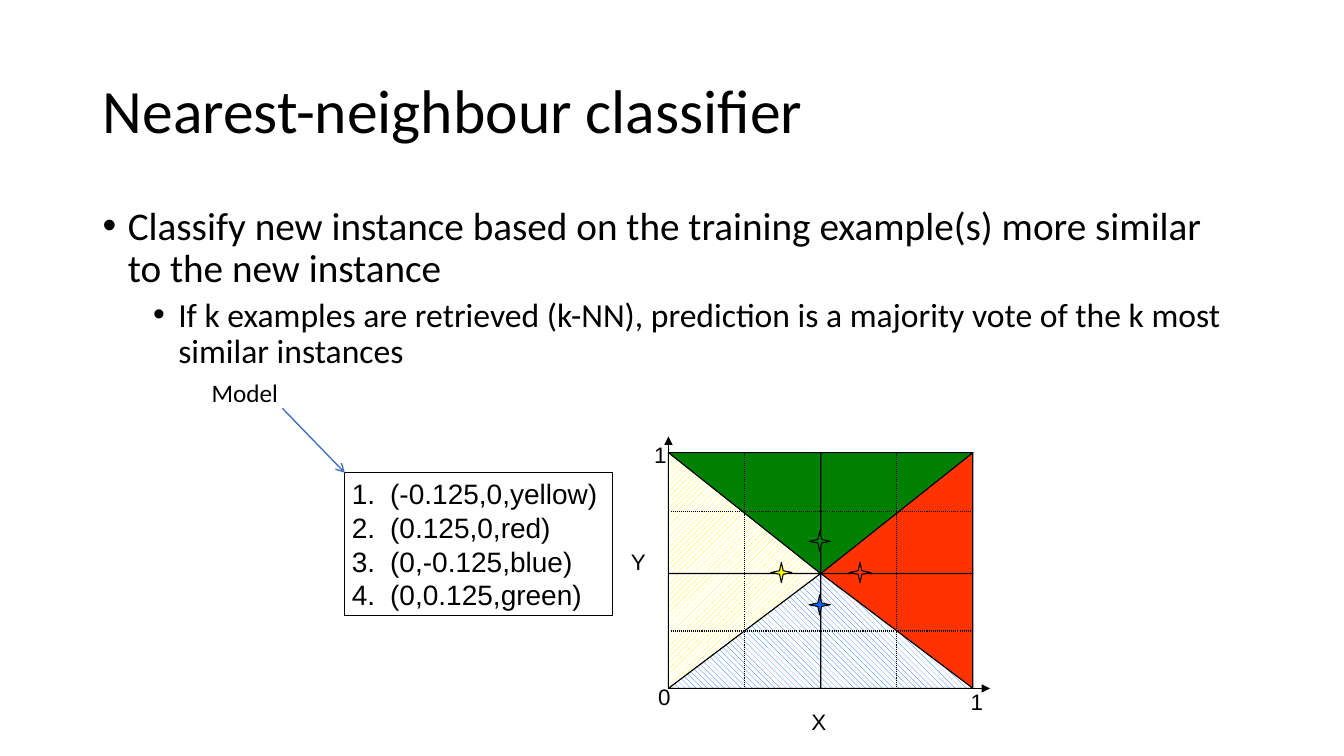
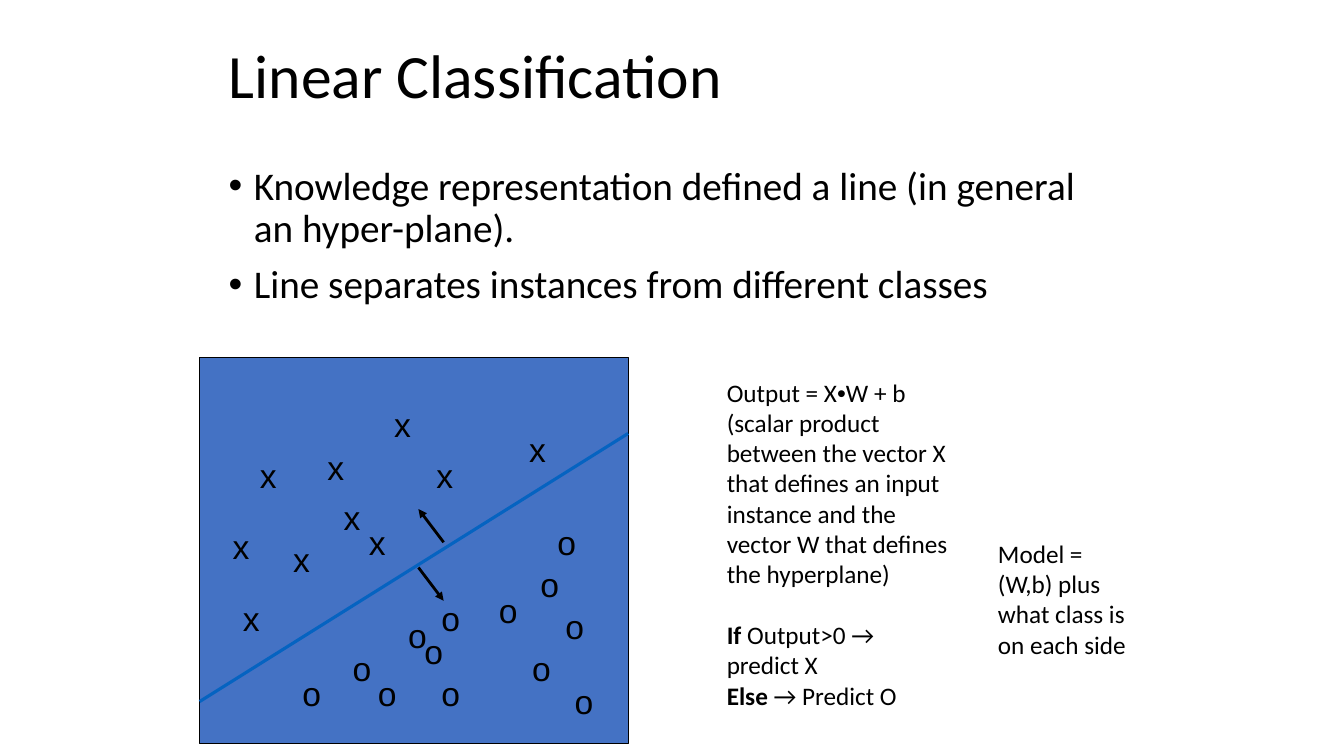
import pptx
import pptx.dml.color
import pptx.enum.dml
import pptx.enum.shapes
import pptx.enum.text
import pptx.oxml.ns
import pptx.util
from lxml import etree

Inches = pptx.util.Inches
Pt = pptx.util.Pt
RGBColor = pptx.dml.color.RGBColor
Shape = pptx.enum.shapes.MSO_SHAPE
Pattern = pptx.enum.dml.MSO_PATTERN
Dash = pptx.enum.dml.MSO_LINE
Anchor = pptx.enum.text.MSO_ANCHOR
AutoSize = pptx.enum.text.MSO_AUTO_SIZE
qn = pptx.oxml.ns.qn

BLACK = RGBColor(0x00, 0x00, 0x00)
WHITE = RGBColor(0xFF, 0xFF, 0xFF)
YELLOW = RGBColor(0xFF, 0xFF, 0x00)
GREEN = RGBColor(0x00, 0x80, 0x00)
RED = RGBColor(0xFF, 0x33, 0x00)
BLUE = RGBColor(0x00, 0x66, 0xFF)
ACCENT = RGBColor(0x44, 0x72, 0xC4)
SEPARATOR = RGBColor(0x05, 0x63, 0xC1)
BODY_FONT = "Calibri"
FIGURE_FONT = "Arial"


class SlideWriter:
    def __init__(self):
        self.deck = pptx.Presentation()
        self.deck.slide_width = Inches(13.33)
        self.deck.slide_height = Inches(7.5)
        self.page = None

    def new_page(self):
        self.page = self.deck.slides.add_slide(self.deck.slide_layouts[6])

    def style(self, paragraph, size, name=BODY_FONT):
        paragraph.font.size = Pt(size)
        paragraph.font.name = name
        paragraph.font.color.rgb = BLACK

    def text(self, lines, left, top, width, height, size, name=BODY_FONT, wrap=False):
        box = self.page.shapes.add_textbox(Inches(left), Inches(top), Inches(width), Inches(height))
        frame = box.text_frame
        frame.word_wrap = wrap
        for index, line in enumerate(lines):
            paragraph = frame.add_paragraph() if index else frame.paragraphs[0]
            self.style(paragraph, size, name)
            for words, settings in line:
                span = paragraph.add_run()
                span.text = words
                for attribute, value in settings.items():
                    setattr(span.font, attribute, value)
        return frame

    def label(self, words, left, top, width, height, size, name=FIGURE_FONT, wrap=False):
        return self.text([[(words, {})]], left, top, width, height, size, name, wrap)

    def title(self, words, left, top, width, height):
        frame = self.label(words, left, top, width, height, 44, BODY_FONT, True)
        frame.vertical_anchor = Anchor.MIDDLE
        frame.paragraphs[0].line_spacing = 0.9

    def list_mark(self, paragraph, margin, indent, tag, **attributes):
        properties = paragraph._p.get_or_add_pPr()
        properties.set("marL", str(Inches(margin)))
        properties.set("indent", str(-Inches(indent)))
        etree.SubElement(properties, qn("a:buFont"), typeface=FIGURE_FONT)
        etree.SubElement(properties, qn(tag), **attributes)

    def bullets(self, items, left, top, width, height):
        box = self.page.shapes.add_textbox(Inches(left), Inches(top), Inches(width), Inches(height))
        frame = box.text_frame
        frame.word_wrap = True
        for index, (level, words) in enumerate(items):
            paragraph = frame.add_paragraph() if index else frame.paragraphs[0]
            paragraph.text = words
            paragraph.level = level
            paragraph.line_spacing = 0.9
            if index:
                paragraph.space_before = Pt(5 if level else 10)
            self.list_mark(paragraph, 0.25 + 0.5 * level, 0.25, "a:buChar", char="•")
            self.style(paragraph, 24 if level else 28)

    def shape(self, kind, left, top, width, height, fill=None, pattern=None):
        shape = self.page.shapes.add_shape(kind, Inches(left), Inches(top), Inches(width), Inches(height))
        shape.shadow.inherit = False
        shape.line.color.rgb = BLACK
        shape.line.width = Pt(0.75)
        if fill is None:
            shape.fill.background()
        elif pattern is None:
            shape.fill.solid()
            shape.fill.fore_color.rgb = fill
        else:
            shape.fill.patterned()
            shape.fill.pattern = pattern
            shape.fill.fore_color.rgb = fill
            shape.fill.back_color.rgb = WHITE
        return shape

    def triangle(self, left, top, width, height, fill, pattern, flips):
        triangle = self.shape(Shape.RIGHT_TRIANGLE, left, top, width, height, fill, pattern)
        for axis in flips:
            triangle._element.spPr.find(qn("a:xfrm")).set("flip" + axis, "1")

    def star(self, center_x, center_y, fill):
        width, height = 0.21, 0.2
        star = self.shape(Shape.STAR_4_POINT, center_x - width / 2, center_y - height / 2, width, height, fill)
        star.adjustments[0] = 0.125

    def numbered_box(self, items, left, top, width, height):
        box = self.shape(Shape.RECTANGLE, left, top, width, height)
        frame = box.text_frame
        frame.margin_left = frame.margin_right = Inches(0.07)
        frame.margin_top = frame.margin_bottom = Inches(0.04)
        frame.vertical_anchor = Anchor.TOP
        frame.auto_size = AutoSize.NONE
        for index, words in enumerate(items):
            paragraph = frame.add_paragraph() if index else frame.paragraphs[0]
            paragraph.text = words
            paragraph.alignment = pptx.enum.text.PP_ALIGN.LEFT
            self.list_mark(paragraph, 0.38, 0.38, "a:buAutoNum", type="arabicPeriod")
            self.style(paragraph, 20, FIGURE_FONT)

    def line(self, start, end, color=BLACK, width=0.75, dash=None, head=None):
        points = [Inches(value) for value in (*start, *end)]
        line = self.page.shapes.add_connector(pptx.enum.shapes.MSO_CONNECTOR.STRAIGHT, *points)
        line.line.color.rgb = color
        line.line.width = Pt(width)
        if dash:
            line.line.dash_style = dash
        if head:
            etree.SubElement(line.line._get_or_add_ln(), qn("a:tailEnd"), type=head)
        etree.SubElement(line._element.spPr, qn("a:effectLst"))
        return line


def nearest_neighbour(writer):
    writer.new_page()
    writer.title("Nearest-neighbour classifier", 0.92, 0.4, 11.5, 1.45)
    writer.bullets([
        (0, "Classify new instance based on the training example(s) more similar to the new instance"),
        (1, "If k examples are retrieved (k-NN), prediction is a majority vote of the k most similar instances"),
    ], 0.92, 2, 11.5, 4.76)

    left, top, width, height = 6.63, 4.49, 3.02, 2.34
    right, bottom = left + width, top + height
    center_x, center_y = left + width / 2, 5.69
    yellow = (YELLOW, Pattern.WIDE_UPWARD_DIAGONAL)
    green = (GREEN, Pattern.DARK_VERTICAL)
    red = (RED, Pattern.DARK_HORIZONTAL)
    blue = (BLUE, Pattern.WIDE_DOWNWARD_DIAGONAL)
    quadrants = [
        (left, top, [(yellow, ""), (green, "HV")]),
        (center_x, top, [(red, "H"), (green, "V")]),
        (left, center_y, [(yellow, "V"), (blue, "H")]),
        (center_x, center_y, [(red, "HV"), (blue, "")]),
    ]
    for x, y, halves in quadrants:
        quadrant_height = center_y - top if y == top else bottom - center_y
        for (fill, pattern), flips in halves:
            writer.triangle(x, y, width / 2, quadrant_height, fill, pattern, flips)
    plot = writer.shape(Shape.RECTANGLE, left, top, width, height)
    writer.line((left, bottom), (left, 4.33), head="triangle")
    writer.line((left, bottom), (9.82, bottom), head="triangle")
    for words, x, y in [("Y", 6.16, 5.39), ("0", 6.43, 6.73), ("1", 9.53, 6.78),
                        ("1", 6.39, 4.33), ("X", 7.95, 6.98)]:
        writer.label(words, x, y, 0.35 if words in "XY" else 0.33, 0.37, 16)
    for step in (1, 2, 3):
        x = left + step * width / 4
        grid_line = writer.line((x, top), (x, bottom), dash=Dash.ROUND_DOT)
        if step == 2:
            grid_line.begin_connect(plot, 0)
            grid_line.end_connect(plot, 2)
    for y in (5.07, center_y, 6.26):
        writer.line((left, y), (right, y), dash=Dash.ROUND_DOT)
    for x, y, fill in [(7.75, 5.68, YELLOW), (8.13, 5.37, GREEN), (8.53, 5.68, RED), (8.13, 6, BLUE)]:
        writer.star(x, y, fill)

    writer.numbered_box(["(-0.125,0,yellow)", "(0.125,0,red)", "(0,-0.125,blue)", "(0,0.125,green)"],
                        3.42, 4.69, 2.66, 1.42)
    writer.line((2.8, 4.05), (3.42, 4.69), ACCENT, 1, head="arrow")
    writer.label("Model", 2, 3.69, 0.87, 0.4, 18, BODY_FONT)


def linear_classification(writer):
    writer.new_page()
    writer.title("Linear Classification", 2.17, 0.15, 9, 1.25)
    writer.bullets([
        (0, "Knowledge representation defined a line (in general an hyper-plane)."),
        (0, "Line separates instances from different classes"),
    ], 2.17, 1.6, 9, 4.95)

    writer.shape(Shape.RECTANGLE, 1.98, 3.55, 4.25, 3.83, ACCENT)
    writer.line((1.98, 6.96), (6.23, 4.3), SEPARATOR, 2.25)
    instances = {
        "x": (0.37, [(2.21, 5.17), (5.15, 4.21), (3.15, 4.38), (3.56, 5.13), (4.23, 4.46),
                     (2.48, 4.46), (2.81, 5.3), (3.81, 3.96), (3.31, 4.88), (2.31, 5.88)]),
        "o": (0.39, [(3.95, 6.05), (4.11, 6.21), (4.28, 5.88), (3.4, 6.38), (4.28, 6.63),
                     (5.18, 6.38), (5.43, 5.13), (4.85, 5.8), (2.9, 6.63), (3.65, 6.63),
                     (5.51, 5.96), (5.26, 5.55), (5.6, 6.71)]),
    }
    for mark, (width, places) in instances.items():
        for x, y in places:
            writer.label(mark, x, y, width, 0.5, 24)
    writer.line((4.4, 5.38), (4.15, 5.05), width=2, head="triangle")
    writer.line((4.15, 5.63), (4.4, 5.96), width=2, head="triangle")

    rule = writer.text([
        [("Output = X", {}), ("•", {"name": FIGURE_FONT}), ("W + b", {})],
        [("(scalar product between the vector X that defines an input instance "
          "and the vector W that defines the hyperplane)", {})],
        [("If", {"bold": True}), (" Output>0 → predict X", {})],
        [("Else", {"bold": True}), (" → Predict O", {})],
    ], 7.11, 3.69, 2.39, 3.74, 18, wrap=True)
    rule.paragraphs[2].space_before = Pt(22)
    writer.label("Model = (W,b) plus what class is on each side", 9.8, 5.29, 1.6, 1.31, 18, BODY_FONT, True)


def main():
    writer = SlideWriter()
    nearest_neighbour(writer)
    linear_classification(writer)
    writer.deck.save("out.pptx")


if __name__ == "__main__":
    main()
